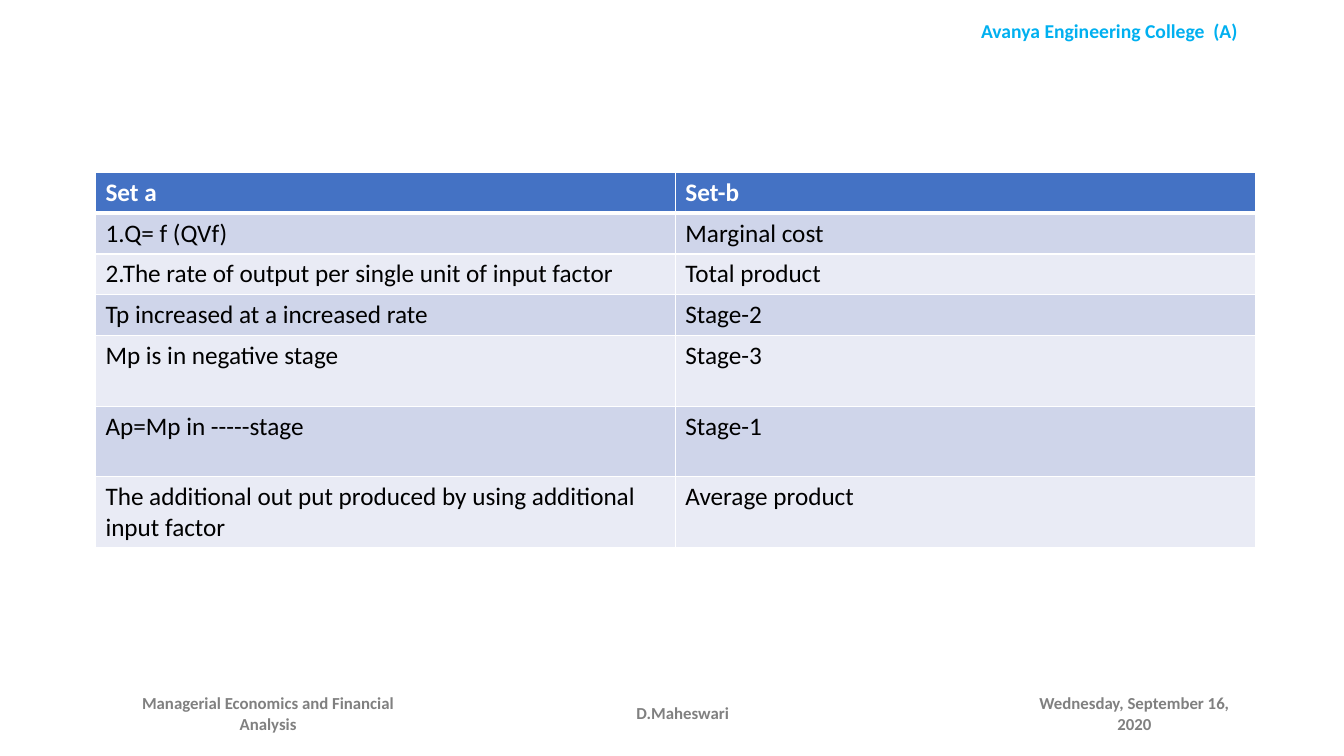
from lxml.etree import SubElement
from pptx import Presentation
from pptx.dml.color import RGBColor
from pptx.enum.text import MSO_ANCHOR as Anchor, PP_ALIGN as Align
from pptx.oxml.ns import qn
from pptx.util import Inches, Pt

WIDTH, HEIGHT = Inches(13.33), Inches(7.5)
FONT = "Calibri"
WHITE = RGBColor(0xFF, 0xFF, 0xFF)
BLACK = RGBColor(0, 0, 0)
GREY = RGBColor(0x80, 0x80, 0x80)
SKY = RGBColor(0x00, 0xB0, 0xF0)
HEADER_BLUE = RGBColor(0x44, 0x72, 0xC4)
BANDS = (RGBColor(0xE9, 0xEB, 0xF5), RGBColor(0xCF, 0xD5, 0xEA))

COLLEGE = "Avanya Engineering College  (A)"
FOOTER = (  # left, width (percent of the slide width), text
    (8.6, 22.7, "Managerial Economics and Financial Analysis"),
    (42.2, 17.2, "D.Maheswari"),
    (75.8, 17.2, "Wednesday, September 16, 2020"),
)
MATCHING_SETS = (
    ("Set a", "Set-b"),
    ("1.Q= f (QVf)", "Marginal cost"),
    ("2.The rate of output per single unit of input factor", "Total product"),
    ("Tp increased at a increased rate", "Stage-2"),
    ("Mp is in negative stage", "Stage-3"),
    ("Ap=Mp in -----stage", "Stage-1"),
    ("The additional out put produced by using additional input factor",
     "Average product"),
)
LOW_ROW, TALL_ROW = 5.4, 9.35  # percent of the slide height
LOW_COUNT = 4


def place(left, top, width, height):
    """Turn percentages of the slide's size into lengths."""
    return (int(WIDTH * left / 100), int(HEIGHT * top / 100),
            int(WIDTH * width / 100), int(HEIGHT * height / 100))


def write(frame, text, size=18, color=BLACK, bold=False, align=Align.LEFT):
    """Write one formatted paragraph into a text frame."""
    para = frame.paragraphs[0]
    para.alignment = align
    span = para.add_run()
    span.text = text
    span.font.name, span.font.size = FONT, Pt(size)
    span.font.bold, span.font.color.rgb = bold, color


def add_label(page, text, area, anchor=Anchor.MIDDLE, size=12, color=GREY):
    """Add a bold centred text box."""
    frame = page.shapes.add_textbox(*place(*area)).text_frame
    frame.word_wrap = True
    frame.vertical_anchor = anchor
    write(frame, text, size=size, color=color, bold=True, align=Align.CENTER)


def set_borders(cell, **widths):
    """Draw white cell borders, with widths in points by side (L, R, T, B)."""
    properties = cell._tc.get_or_add_tcPr()
    for position, (side, width) in enumerate(widths.items()):
        line = SubElement(properties, qn(f"a:ln{side}"), w=str(Pt(width)))
        fill = SubElement(line, qn("a:solidFill"))
        SubElement(fill, qn("a:srgbClr"), val=str(WHITE))
        properties.insert(position, line)  # borders come before the cell fill


def add_matching_table(page):
    """Add the two-column table with a header and banded rows."""
    low, tall = LOW_COUNT, len(MATCHING_SETS) - LOW_COUNT
    area = place(7.1, 22.8, 86.3, low * LOW_ROW + tall * TALL_ROW)
    table = page.shapes.add_table(len(MATCHING_SETS), 2, *area).table
    for index, texts in enumerate(MATCHING_SETS):
        header = index == 0
        share = LOW_ROW if index < LOW_COUNT else TALL_ROW
        table.rows[index].height = int(HEIGHT * share / 100)
        for cell, text in zip(table.rows[index].cells, texts):
            cell.fill.solid()
            cell.fill.fore_color.rgb = HEADER_BLUE if header else BANDS[index % 2]
            set_borders(cell, L=1, R=1, T=3 if index == 1 else 1,
                        B=3 if header else 1)
            write(cell.text_frame, text, bold=header,
                  color=WHITE if header else BLACK)


def main():
    """Build the slide and save the deck."""
    deck = Presentation()
    deck.slide_width, deck.slide_height = WIDTH, HEIGHT
    page = deck.slides.add_slide(deck.slide_layouts[6])
    add_label(page, COLLEGE, (68.2, 1.9, 28.7, 4.5), anchor=Anchor.TOP,
              size=14, color=SKY)
    add_matching_table(page)
    for left, width, text in FOOTER:
        add_label(page, text, (left, 91.7, width, 5.3))
    deck.save("out.pptx")


main()
